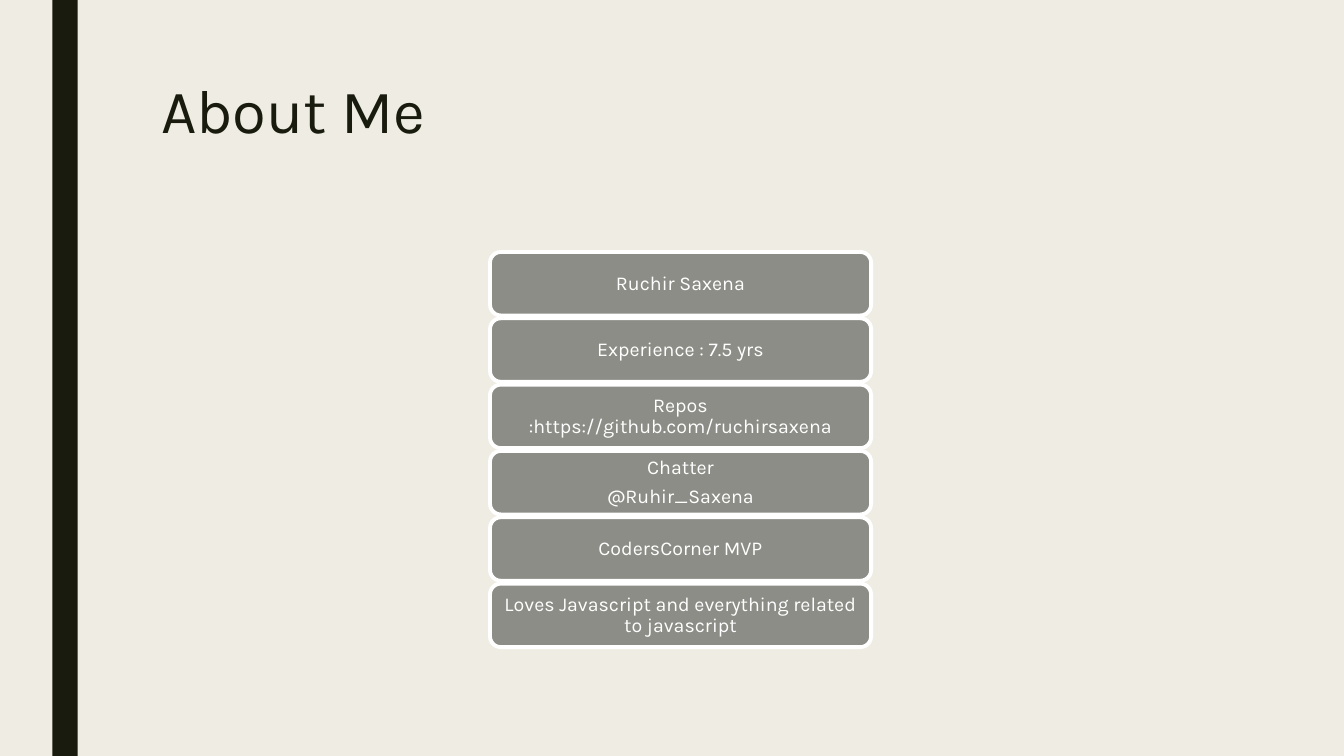
from pptx import Presentation
from pptx.dml.color import RGBColor
from pptx.enum.shapes import MSO_SHAPE
from pptx.enum.text import MSO_ANCHOR, PP_ALIGN
from pptx.util import Inches, Pt

RECT, ROUND_RECT = MSO_SHAPE.RECTANGLE, MSO_SHAPE.ROUNDED_RECTANGLE
TOP, MIDDLE = MSO_ANCHOR.TOP, MSO_ANCHOR.MIDDLE
LEFT, CENTER = PP_ALIGN.LEFT, PP_ALIGN.CENTER

TITLE = "About Me"
FACTS = [
    ["Ruchir Saxena"],
    ["Experience : 7.5 yrs"],
    ["Repos :https://github.com/ruchirsaxena"],
    ["Chatter", "@Ruhir_Saxena"],
    ["CodersCorner MVP"],
    ["Loves Javascript and everything related to javascript"],
]

FONT = "Karla"
CREAM, DARK, GRAY, WHITE = "EFEDE3", "191B0E", "8C8D86", "FFFFFF"

CARD_LEFT, CARD_WIDTH, CARD_HEIGHT = 4.86, 3.78, 0.63
FIRST_TOP, LAST_TOP = 2.5, 5.79
PITCH = (LAST_TOP - FIRST_TOP) / (len(FACTS) - 1)


def rgb(color):
    return RGBColor.from_string(color)


def add_box(slide, kind, left, top, width, height, fill):
    sp = slide.shapes.add_shape(
        kind, Inches(left), Inches(top), Inches(width), Inches(height))
    sp.shadow.inherit = False
    sp.fill.solid()
    sp.fill.fore_color.rgb = rgb(fill)
    sp.line.fill.background()
    return sp


def write(sp, lines, size, color, align, anchor, spacing, after, inset):
    """Fill a shape with one paragraph per line; inset is (x, y) in inches."""
    tf = sp.text_frame
    tf.word_wrap = True
    tf.vertical_anchor = anchor
    tf.margin_left = tf.margin_right = Inches(inset[0])
    tf.margin_top = tf.margin_bottom = Inches(inset[1])
    for i, line in enumerate(lines):
        p = tf.paragraphs[0] if i == 0 else tf.add_paragraph()
        p.alignment = align
        p.line_spacing = spacing
        p.space_after = Pt(after)
        r = p.add_run()
        r.text = line
        r.font.name = FONT
        r.font.size = Pt(size)
        r.font.color.rgb = rgb(color)


def main():
    prs = Presentation()
    prs.slide_width, prs.slide_height = Inches(13.33), Inches(7.5)
    s = prs.slides.add_slide(prs.slide_layouts[6])
    s.background.fill.solid()
    s.background.fill.fore_color.rgb = rgb(CREAM)

    add_box(s, RECT, 0.52, 0, 0.25, 7.5, DARK)

    title = s.shapes.add_textbox(
        Inches(1.5), Inches(0.75), Inches(10.5), Inches(1.62))
    write(title, [TITLE], 44, DARK, LEFT, TOP, 0.89, 0, (0.1, 0.05))

    for i, lines in enumerate(FACTS):
        card = add_box(s, ROUND_RECT, CARD_LEFT, FIRST_TOP + i * PITCH,
                       CARD_WIDTH, CARD_HEIGHT, GRAY)
        card.adjustments[0] = 0.17
        card.line.color.rgb = rgb(WHITE)
        card.line.width = Pt(2.75)
        write(card, lines, 14, WHITE, CENTER, MIDDLE, 0.9, 5, (0.07, 0.04))

    prs.save("out.pptx")


if __name__ == "__main__":
    main()
